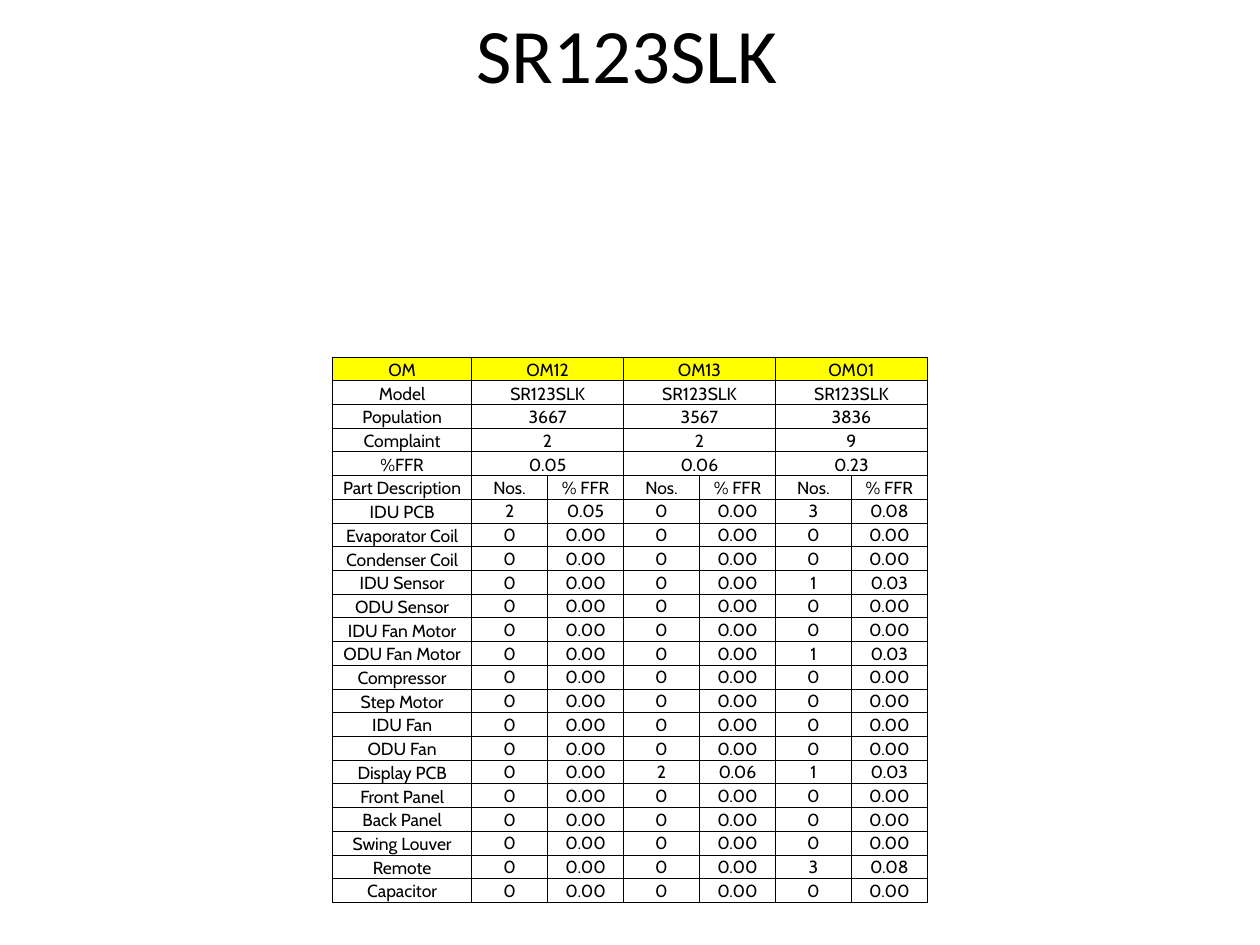
from dataclasses import dataclass

from lxml.etree import SubElement
from pptx import Presentation
from pptx.dml.color import RGBColor
from pptx.enum.text import MSO_ANCHOR, PP_ALIGN
from pptx.oxml.ns import qn
from pptx.util import Pt


@dataclass(frozen=True)
class Theme:
    """Colours, fonts and sizes of the slide."""
    ink: str = "000000"
    header: str = "FFFF00"
    title_font: str = "Calibri"
    table_font: str = "Cabin"
    title_size: float = 44
    table_size: float = 10
    border: float = 0.5


THEME = Theme()
MODEL = "SR123SLK"
MONTHS = ["OM12", "OM13", "OM01"]
POPULATIONS = [3667, 3567, 3836]
PART_FAULTS = {
    "IDU PCB": [2, 0, 3],
    "Evaporator Coil": [0, 0, 0],
    "Condenser Coil": [0, 0, 0],
    "IDU Sensor": [0, 0, 1],
    "ODU Sensor": [0, 0, 0],
    "IDU Fan Motor": [0, 0, 0],
    "ODU Fan Motor": [0, 0, 1],
    "Compressor": [0, 0, 0],
    "Step Motor": [0, 0, 0],
    "IDU Fan": [0, 0, 0],
    "ODU Fan": [0, 0, 0],
    "Display PCB": [0, 2, 1],
    "Front Panel": [0, 0, 0],
    "Back Panel": [0, 0, 0],
    "Swing Louver": [0, 0, 0],
    "Remote": [0, 0, 3],
    "Capacitor": [0, 0, 0],
}


def write_text(frame, text, *, font, size, color=THEME.ink, align=PP_ALIGN.CENTER):
    """Write one formatted paragraph into a text frame."""
    para = frame.paragraphs[0]
    para.alignment = align
    span = para.add_run()
    span.text = text
    span.font.name = font
    span.font.size = Pt(size)
    span.font.color.rgb = RGBColor.from_string(color)


def failure_rate(faults, population):
    """Return faults as a percentage of the population."""
    return f"{100 * faults / population:.2f}"


def summary_rows():
    """Return the rows that hold one value for each month."""
    complaints = [sum(faults) for faults in zip(*PART_FAULTS.values())]
    return [
        ["OM", *MONTHS],
        ["Model", *[MODEL] * len(MONTHS)],
        ["Population", *map(str, POPULATIONS)],
        ["Complaint", *map(str, complaints)],
        ["%FFR", *map(failure_rate, complaints, POPULATIONS)],
    ]


def part_rows():
    """Return the rows that hold a count and a rate for each month."""
    rows = [["Part Description", *["Nos.", "% FFR"] * len(MONTHS)]]
    for part, faults in PART_FAULTS.items():
        row = [part]
        for count, population in zip(faults, POPULATIONS):
            row += [str(count), failure_rate(count, population)]
        rows.append(row)
    return rows


def style_cell(cell, *, fill=None, anchor=MSO_ANCHOR.BOTTOM):
    """Give a cell its borders, margins, anchor and fill."""
    properties = cell._tc.get_or_add_tcPr()
    for side in ("a:lnL", "a:lnR", "a:lnT", "a:lnB"):
        line = SubElement(properties, qn(side), w=str(Pt(THEME.border)))
        paint = SubElement(line, qn("a:solidFill"))
        SubElement(paint, qn("a:srgbClr"), val=THEME.ink)
    cell.margin_left = cell.margin_right = cell.margin_top = Pt(0.72)
    cell.margin_bottom = Pt(0)
    cell.vertical_anchor = anchor
    if fill:
        cell.fill.solid()
        cell.fill.fore_color.rgb = RGBColor.from_string(fill)
    else:
        cell.fill.background()


def add_title(page, left, top, width, height):
    """Place the model name as the slide title."""
    box = page.shapes.add_textbox(Pt(left), Pt(top), Pt(width), Pt(height))
    frame = box.text_frame
    frame.word_wrap = True
    frame.vertical_anchor = MSO_ANCHOR.MIDDLE
    write_text(frame, MODEL, font=THEME.title_font, size=THEME.title_size)


def add_failure_table(page, left, top, width, height, label_width=79.5):
    """Place the table of failures by part and month."""
    summary, parts = summary_rows(), part_rows()
    row_count, column_count = len(summary) + len(parts), len(parts[0])
    table = page.shapes.add_table(
        row_count, column_count, Pt(left), Pt(top), Pt(width), Pt(height)
    ).table
    table.first_row = table.horz_banding = False
    value_width = (width - label_width) / (column_count - 1)
    for index, column in enumerate(table.columns):
        column.width = Pt(value_width if index else label_width)
    for row in table.rows:
        row.height = Pt(height / row_count)

    for r in range(row_count):
        for c in range(column_count):
            is_value = r > len(summary) and c > 0
            style_cell(
                table.cell(r, c),
                fill=THEME.header if r == 0 else None,
                anchor=MSO_ANCHOR.MIDDLE if is_value else MSO_ANCHOR.BOTTOM,
            )
    for r, texts in enumerate(summary + parts):
        for index, text in enumerate(texts):
            merged = r < len(summary) and index > 0
            c = 2 * index - 1 if merged else index
            cell = table.cell(r, c)
            if merged:
                cell.merge(table.cell(r, c + 1))
            write_text(cell.text_frame, text, font=THEME.table_font, size=THEME.table_size)


def main():
    """Build the deck and save it."""
    deck = Presentation()
    deck.slide_width, deck.slide_height = Pt(720), Pt(540)
    page = deck.slides.add_slide(deck.slide_layouts[6])
    add_title(page, 34.5, 12, 648, 36)
    add_failure_table(page, 190, 204, 340, 311.9)
    deck.save("out.pptx")


if __name__ == "__main__":
    main()
